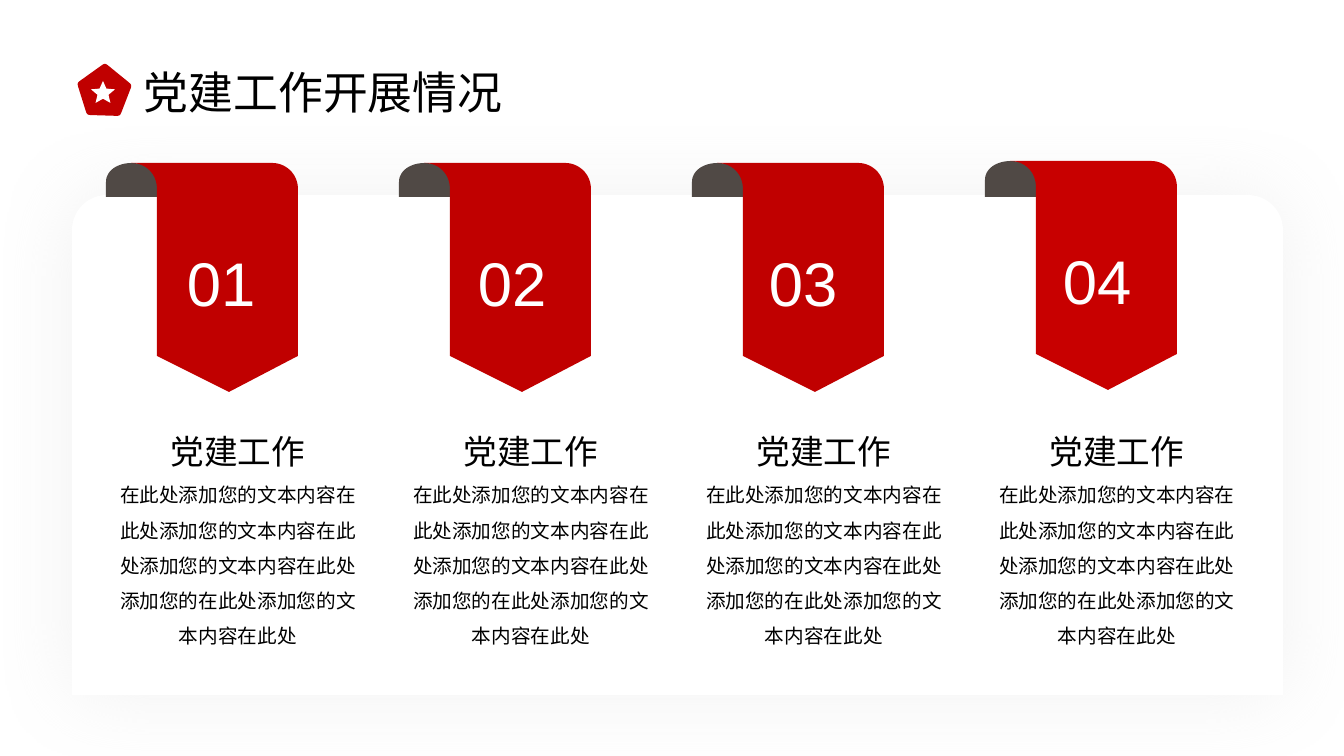
"""Build a slide with four numbered ribbons over a rounded panel."""
from math import dist

from lxml.etree import SubElement
from pptx import Presentation
from pptx.dml.color import RGBColor
from pptx.enum.shapes import MSO_SHAPE
from pptx.enum.text import MSO_ANCHOR, PP_ALIGN
from pptx.oxml.ns import qn
from pptx.util import Pt

EMU_PER_PX = 914400 / 100.8
COLORS = {"red": "C00000", "bright": "C80000", "fold": "504945",
          "white": "FFFFFF", "black": "000000", "shadow": "808080"}
FONT = "Arial"
TITLE = "党建工作开展情况"
HEADING = "党建工作"
BODY = ("在此处添加您的文本内容在此处添加您的文本内容在此处添加您的文本内容"
        "在此处添加您的在此处添加您的文本内容在此处")
BADGE = [(105, 63), (132, 85), (120, 116), (87, 115), (77, 83)]
RIBBON = [(192, 26), (192, 11, 180, 0, 166, 0), (25, 0),
          (40, 0, 51, 11, 51, 26), (51, 193), (123, 229), (192, 193)]
FIRST_LEFT, PITCH, FOLD_BOTTOM = 106, 293, 197
COLUMNS = [("01", 163, 177, 283, "red"), ("02", 163, 468, 229, "red"),
           ("03", 163, 759, 229, "red"), ("04", 161, 1053, 229, "bright")]


def px(n):
    return round(n * EMU_PER_PX)


def flatten(outline, steps=16):
    """Turn line points and cubic segments into a list of points."""
    points = [outline[0]]
    for seg in outline[1:]:
        if len(seg) == 2:
            points.append(seg)
            continue
        (x0, y0), (x1, y1, x2, y2, x3, y3) = points[-1], seg
        for i in range(1, steps + 1):
            t = i / steps
            u = 1 - t
            a, b, c, d = u ** 3, 3 * u * u * t, 3 * u * t * t, t ** 3
            points.append((a * x0 + b * x1 + c * x2 + d * x3,
                           a * y0 + b * y1 + c * y2 + d * y3))
    return points


def rounded(corners, cut=6):
    """Round each corner of a polygon."""
    def toward(p, q):
        f = cut / dist(p, q)
        return p[0] + f * (q[0] - p[0]), p[1] + f * (q[1] - p[1])

    outline = []
    for i, p in enumerate(corners):
        start = toward(p, corners[i - 1])
        end = toward(p, corners[(i + 1) % len(corners)])
        outline += [start, (*p, *p, *end)]
    return outline


class Deck:
    """Hold the style and the current slide."""

    def __init__(self, width, height):
        self.prs = Presentation()
        self.prs.slide_width, self.prs.slide_height = px(width), px(height)
        self.slide = self.prs.slides.add_slide(self.prs.slide_layouts[6])

    def color(self, name):
        return RGBColor.from_string(COLORS[name])

    def paint(self, sp, fill):
        sp.fill.solid()
        sp.fill.fore_color.rgb = self.color(fill)
        sp.line.fill.background()
        sp.shadow.inherit = False
        return sp

    def shape(self, kind, x, y, w, h, fill, adjust):
        sp = self.slide.shapes.add_shape(kind, px(x), px(y), px(w), px(h))
        for i, value in enumerate(adjust):
            sp.adjustments[i] = value
        return self.paint(sp, fill)

    def outline(self, segments, fill, left=0, top=0):
        points = [(px(x + left), px(y + top)) for x, y in flatten(segments)]
        fb = self.slide.shapes.build_freeform(*points[0])
        fb.add_line_segments(points[1:], close=True)
        return self.paint(fb.convert_to_shape(), fill)

    def glow(self, sp, blur, alpha):
        effects = sp._element.spPr.find(qn("a:effectLst"))
        shadow = SubElement(effects, qn("a:outerShdw"), blurRad=str(Pt(blur)),
                            dist="0", dir="0", algn="ctr", rotWithShape="0")
        clr = SubElement(shadow, qn("a:srgbClr"), val=COLORS["shadow"])
        SubElement(clr, qn("a:alpha"), val=str(alpha * 1000))

    def box(self, x, y, w, h, wrap=True, anchor=MSO_ANCHOR.TOP):
        tb = self.slide.shapes.add_textbox(px(x), px(y), px(w), px(h))
        tf = tb.text_frame
        tf.word_wrap = wrap
        tf.vertical_anchor = anchor
        return tf

    def text(self, tf, text, size, color="black", align=None, spacing=None):
        p = tf.paragraphs[0]
        if p.runs:
            p = tf.add_paragraph()
        p.alignment, p.line_spacing = align, spacing
        r = p.add_run()
        r.text = text
        r.font.name, r.font.size = FONT, Pt(size)
        r.font.color.rgb = self.color(color)

    def ribbon(self, left, top, number, number_left, fill):
        bottom = FOLD_BOTTOM - top
        fold = [(51, 19), (51, 8, 40, 0, 26, 0), (11, 0, 0, 8, 0, 19),
                (0, bottom), (51, bottom)]
        self.outline(fold, "fold", left, top)
        self.outline(RIBBON, fill, left, top)
        tf = self.box(number_left, top + 76, 90, 85, wrap=False,
                      anchor=MSO_ANCHOR.MIDDLE)
        self.text(tf, number, 44, "white")

    def column(self, left, height):
        tf = self.box(left, 406, 264, height)
        for text, size in ((HEADING, 24), (BODY, 14)):
            self.text(tf, text, size, align=PP_ALIGN.CENTER, spacing=1.5)


def main():
    deck = Deck(1344, 756)
    deck.outline(rounded(BADGE), "red")
    deck.shape(MSO_SHAPE.STAR_5_POINT, 91, 81, 24, 22, "white", [0.23])
    deck.text(deck.box(134, 60, 389, 65), TITLE, 32, align=PP_ALIGN.JUSTIFY)
    panel = deck.shape(MSO_SHAPE.ROUND_2_SAME_RECTANGLE, 72, 195, 1211, 500,
                       "white", [0.07, 0])
    deck.glow(panel, blur=60, alpha=10)
    for i, (number, top, number_left, height, fill) in enumerate(COLUMNS):
        left = FIRST_LEFT + i * PITCH
        deck.ribbon(left, top, number, number_left, fill)
        deck.column(left, height)
    deck.prs.save("out.pptx")


if __name__ == "__main__":
    main()
